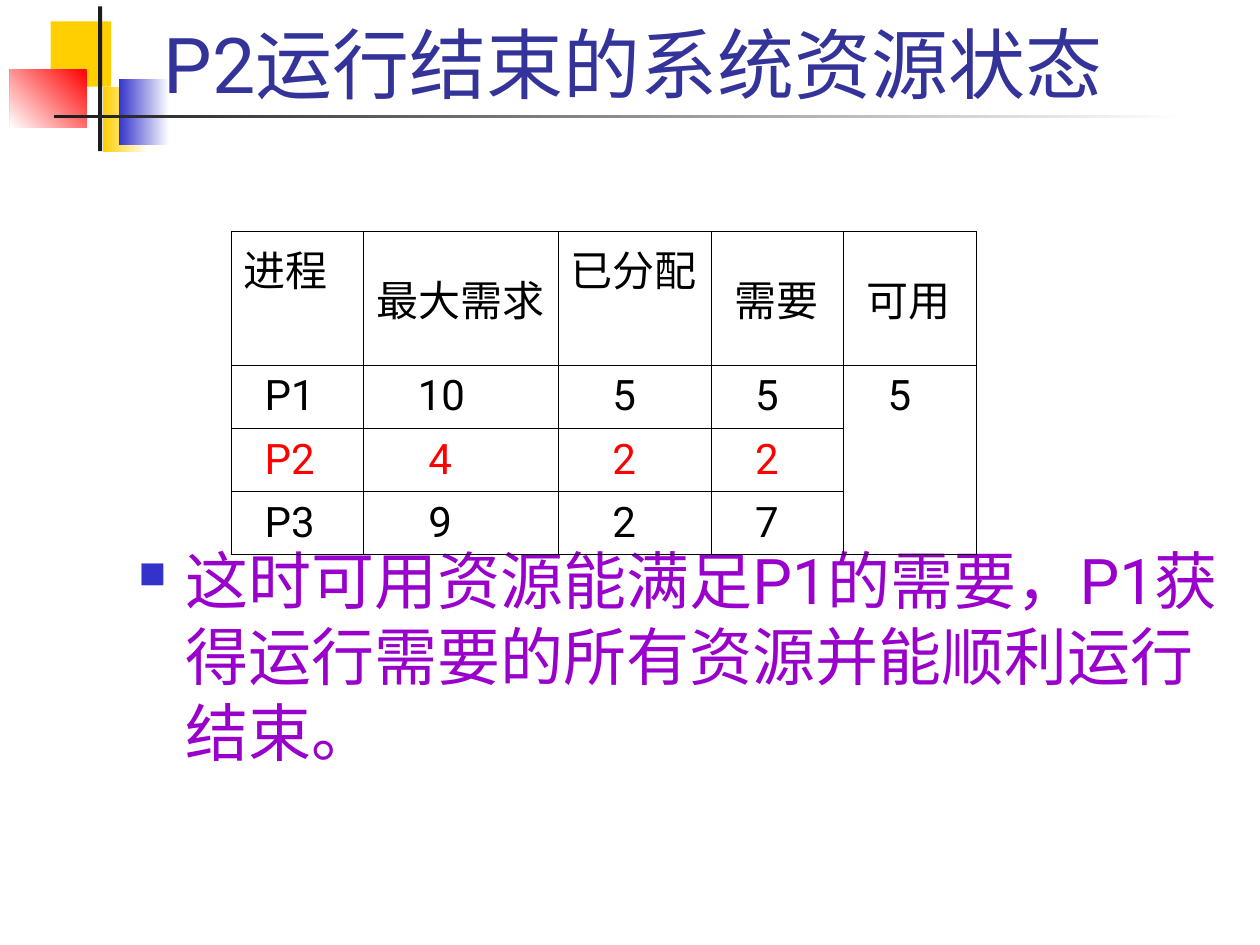
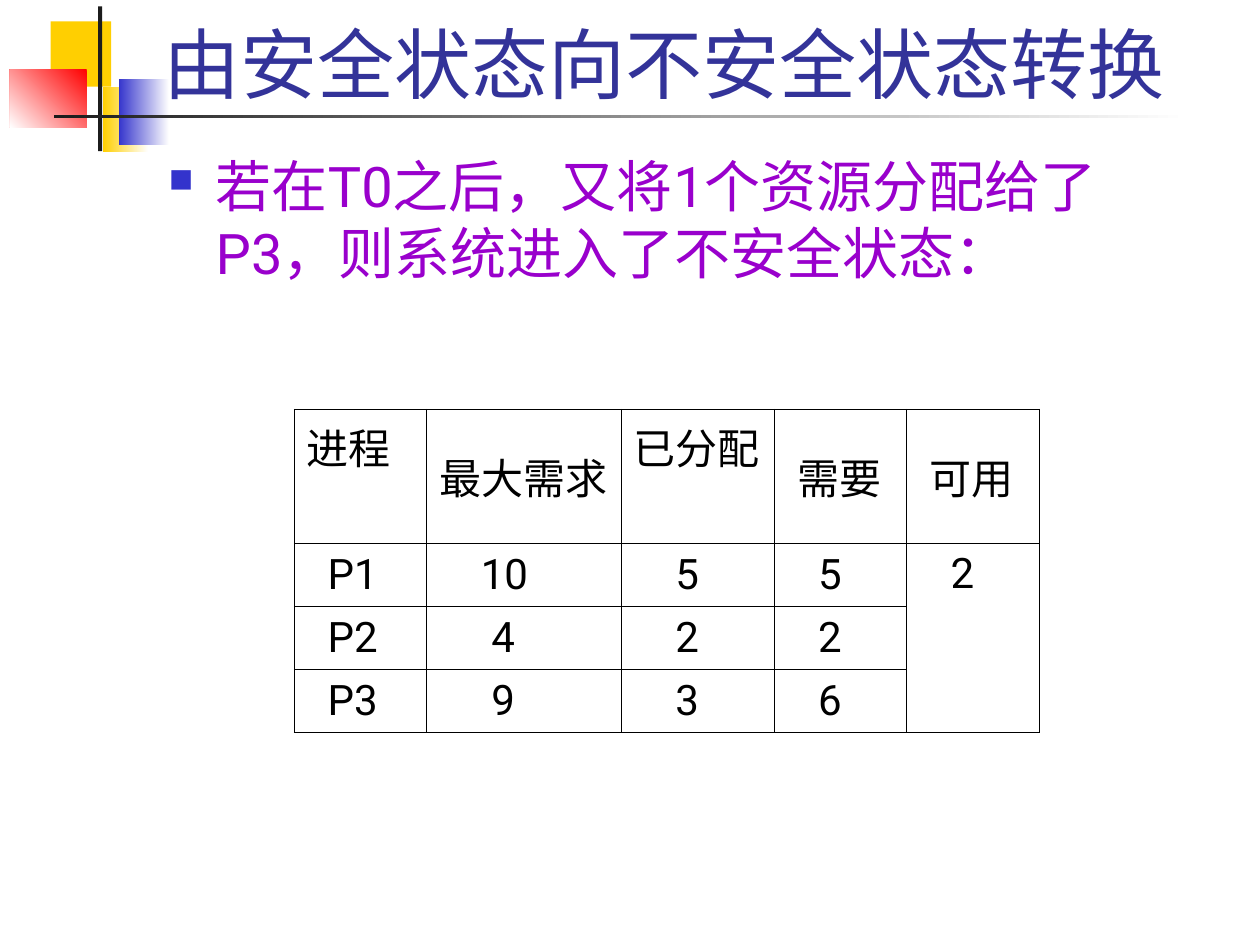
"""Builds two slides on safe and unsafe resource allocation states."""
from lxml.etree import SubElement
from pptx import Presentation
from pptx.dml.color import RGBColor
from pptx.enum.shapes import MSO_SHAPE
from pptx.enum.text import MSO_ANCHOR
from pptx.oxml.ns import qn
from pptx.util import Cm, Pt

FONT = "Roboto"
BLACK = RGBColor(0x00, 0x00, 0x00)
WHITE = RGBColor(0xFF, 0xFF, 0xFF)
RED = RGBColor(0xFF, 0x00, 0x00)
YELLOW = RGBColor(0xFF, 0xCF, 0x01)
BLUE = RGBColor(0x33, 0x33, 0xCC)
CHARCOAL = RGBColor(0x1C, 0x1C, 0x1C)
TITLE_COLOR = RGBColor(0x33, 0x33, 0x99)
BODY_COLOR = RGBColor(0x99, 0x00, 0xCC)

# Each ornament: left, top, width, height, colours, gradient angle
ORNAMENTS = [
    (1.02, 0.43, 1.22, 1.32, [YELLOW], None),
    (2.08, 1.75, 0.91, 1.32, [WHITE, YELLOW], 180),
    (2.39, 1.6, 1.02, 1.32, [WHITE, BLUE], 180),
    (0.2, 1.4, 1.55, 1.17, [RED, WHITE], 225),
    (1.98, 0.13, 0.08, 2.92, [CHARCOAL], None),
    (1.09, 2.31, 22.86, 0.08, [WHITE, CHARCOAL], 180),
]
TITLE_AREA = (3.05, 0.43, 21.64, 1.9)

HEADERS = ["进程", "最大需求", "已分配", "需要", "可用"]
COLUMN_WIDTHS = [2.67, 3.92, 3.09, 2.67, 2.67]
HEADER_INDENTS = [0, 0, 0, 0.21, 0.21]
VALUE_INDENTS = [0.42, 1.05, 0.84, 0.63, 0.63]
DIGIT_WIDTH = 0.21
HEADER_HEIGHT, ROW_HEIGHT = 2.7, 1.27
TOP_HEADERS = {"进程", "已分配"}

SLIDES = [
    {
        "title": "P2运行结束的系统资源状态",
        "body": "这时可用资源能满足P1的需要，P1获得运行需要的所有资源并能顺利运行结束。",
        "body_area": (2.54, 10.8, 22.86, 4.88),
        "body_size": 36,
        "table_at": (4.66, 4.66),
        "processes": [("P1", 10, 5, 5), ("P2", 4, 2, 2), ("P3", 9, 2, 7)],
        "available": 5,
        "finished": "P2",
    },
    {
        "title": "由安全状态向不安全状态转换",
        "body": "若在T0之后，又将1个资源分配给了P3，则系统进入了不安全状态：",
        "body_area": (3.15, 2.92, 21.59, 3.91),
        "body_size": 32,
        "table_at": (5.93, 8.25),
        "processes": [("P1", 10, 5, 5), ("P2", 4, 2, 2), ("P3", 9, 3, 6)],
        "available": 2,
        "finished": None,
    },
]


def write(paragraph, text, size, color):
    span = paragraph.add_run()
    span.text = text
    span.font.name = FONT
    span.font.size = Pt(size)
    span.font.color.rgb = color


def add_ornaments(page):
    for left, top, width, height, colors, angle in ORNAMENTS:
        shape = page.shapes.add_shape(MSO_SHAPE.RECTANGLE, Cm(left), Cm(top), Cm(width), Cm(height))
        shape.shadow.inherit = False
        shape.line.fill.background()
        if angle is None:
            shape.fill.solid()
            shape.fill.fore_color.rgb = colors[0]
        else:
            shape.fill.gradient()
            shape.fill.gradient_angle = angle
            for stop, color in zip(shape.fill.gradient_stops, colors):
                stop.color.rgb = color


def add_text(page, area, text, size, color, anchor=MSO_ANCHOR.TOP):
    box = page.shapes.add_textbox(*map(Cm, area))
    frame = box.text_frame
    frame.word_wrap = True
    frame.vertical_anchor = anchor
    write(frame.paragraphs[0], text, size, color)
    return frame.paragraphs[0]


def add_bullet(paragraph):
    properties = paragraph._p.get_or_add_pPr()
    properties.set("marL", str(Cm(0.95)))
    properties.set("indent", str(-Cm(0.95)))
    color = SubElement(properties, qn("a:buClr"))
    SubElement(color, qn("a:srgbClr"), val=str(BLUE))
    SubElement(properties, qn("a:buSzPct"), val="60000")
    SubElement(properties, qn("a:buChar"), char="■")


def style_cell(cell):
    properties = cell._tc.get_or_add_tcPr()
    for side in ("a:lnL", "a:lnR", "a:lnT", "a:lnB"):
        border = SubElement(properties, qn(side), w=str(Pt(0.45)))
        fill = SubElement(border, qn("a:solidFill"))
        SubElement(fill, qn("a:srgbClr"), val=str(BLACK))
    cell.fill.background()


def fill_cell(cell, text, indent, color=BLACK, anchor=MSO_ANCHOR.MIDDLE):
    cell.vertical_anchor = anchor
    paragraph = cell.text_frame.paragraphs[0]
    paragraph._p.get_or_add_pPr().set("marL", str(Cm(indent)))
    write(paragraph, text, 24, color)


def add_resource_table(page, content):
    processes = content["processes"]
    left, top = content["table_at"]
    height = HEADER_HEIGHT + ROW_HEIGHT * len(processes)
    table = page.shapes.add_table(
        len(processes) + 1, len(HEADERS), Cm(left), Cm(top), Cm(sum(COLUMN_WIDTHS)), Cm(height)
    ).table
    table.first_row = table.horz_banding = False
    for column, width in zip(table.columns, COLUMN_WIDTHS):
        column.width = Cm(width)
    for index, row in enumerate(table.rows):
        row.height = Cm(ROW_HEIGHT if index else HEADER_HEIGHT)
    for cell in table.iter_cells():
        style_cell(cell)

    for index, (header, indent) in enumerate(zip(HEADERS, HEADER_INDENTS)):
        anchor = MSO_ANCHOR.TOP if header in TOP_HEADERS else MSO_ANCHOR.MIDDLE
        fill_cell(table.cell(0, index), header, indent, anchor=anchor)
    for row, process in enumerate(processes, 1):
        color = RED if process[0] == content["finished"] else BLACK
        for column, value in enumerate(process):
            indent = VALUE_INDENTS[column]
            if column:
                indent -= DIGIT_WIDTH * (len(str(value)) - 1)
            fill_cell(table.cell(row, column), str(value), indent, color)

    last = len(HEADERS) - 1
    available = table.cell(1, last)
    available.merge(table.cell(len(processes), last))
    fill_cell(available, str(content["available"]), VALUE_INDENTS[last], anchor=MSO_ANCHOR.TOP)


def main():
    deck = Presentation()
    deck.slide_width, deck.slide_height = Cm(25.4), Cm(19.05)
    for content in SLIDES:
        page = deck.slides.add_slide(deck.slide_layouts[6])
        add_ornaments(page)
        add_text(page, TITLE_AREA, content["title"], 44, TITLE_COLOR, MSO_ANCHOR.BOTTOM)
        body = add_text(page, content["body_area"], content["body"], content["body_size"], BODY_COLOR)
        add_bullet(body)
        add_resource_table(page, content)
    deck.save("out.pptx")


if __name__ == "__main__":
    main()
